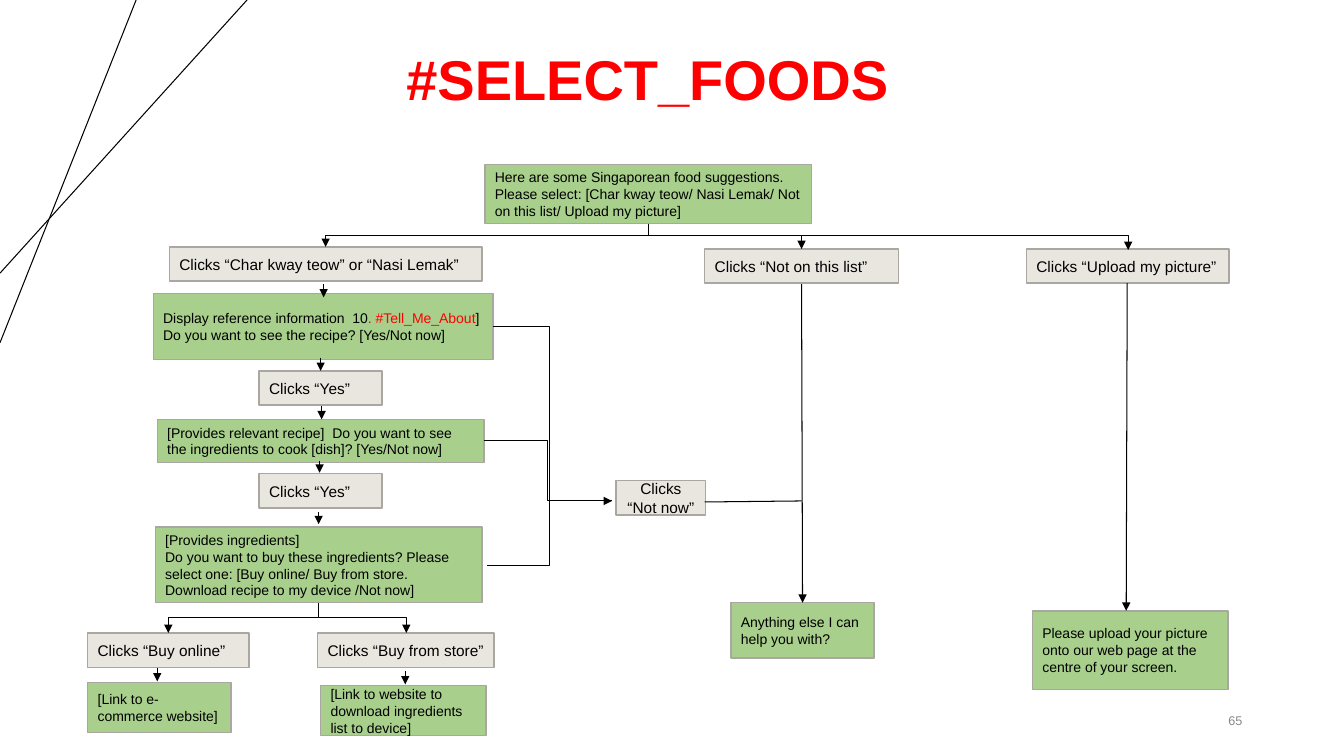
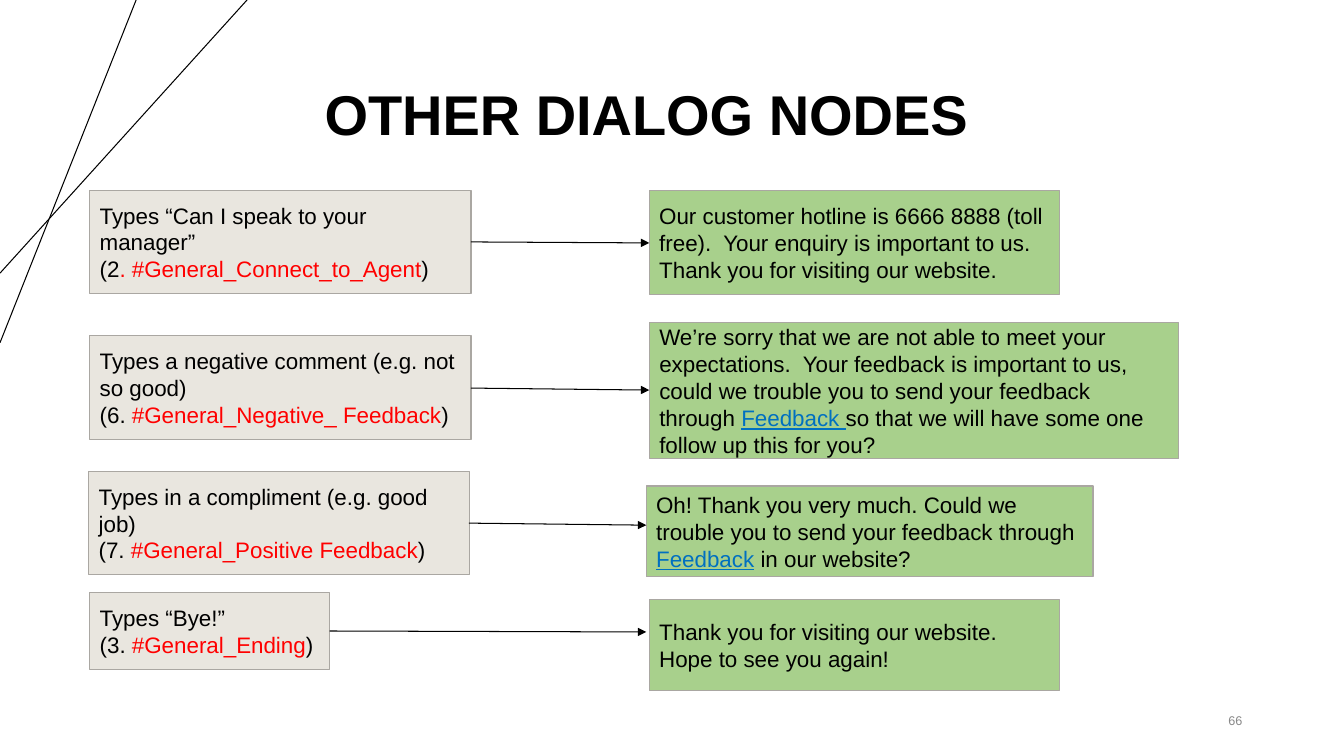
from dataclasses import dataclass

from pptx import Presentation
from pptx.dml.color import RGBColor
from pptx.enum.dml import MSO_LINE
from pptx.enum.shapes import MSO_CONNECTOR, MSO_SHAPE
from pptx.enum.text import MSO_ANCHOR, MSO_AUTO_SIZE, PP_ALIGN
from pptx.oxml.ns import qn
from pptx.util import Emu, Pt
from lxml.etree import SubElement


@dataclass(frozen=True)
class Theme:
    font: str = "Arial"
    ink: str = "000000"
    tag: str = "FF0000"
    link: str = "0070C0"
    page: str = "888888"
    user: str = "E9E6DF"
    bot: str = "A8D08C"
    edge: str = "AAA7A2"
    title: int = 40
    click: int = 11
    reply: int = 10
    talk: int = 16
    foot: int = 9
    rim: float = 1
    wire: float = 0.75


T = Theme()
SCALE = 9144
SIZE = (1333, 750)
PAGE = (942, 695, 300, 40)
DECOR = [(135, 0, 0, 340), (245, 0, 0, 271)]

FOODS = {
    "title": ("#SELECT_FOODS", T.tag, (117, 24, 1050, 115)),
    "page": "65",
    "user": (T.click, [
        ((168, 245, 310, 34), ["Clicks “Char kway teow” or “Nasi Lemak”"]),
        ((699, 247, 192, 34), ["Clicks “Not on this list”"]),
        ((1018, 247, 201, 34), ["Clicks “Upload my picture”"]),
        ((257, 368, 122, 34), ["Clicks “Yes”"]),
        ((257, 470, 122, 34), ["Clicks “Yes”"]),
        ((87, 628, 160, 34), ["Clicks “Buy online”"]),
        ((315, 628, 175, 34), ["Clicks “Buy from store”"]),
    ]),
    "mid": (T.click, [((611, 477, 89, 34), ["Clicks “Not now”"])]),
    "bot": (T.reply, [
        ((481, 163, 324, 59), [
            "Here are some Singaporean food suggestions.",
            "Please select: [Char kway teow/ Nasi Lemak/ Not on this list/ Upload my picture]"]),
        ((152, 291, 337, 66), [
            ["Display reference information  10", (". #Tell_Me_About", T.tag), "]"],
            "Do you want to see the recipe? [Yes/Not now]"]),
        ((156, 416, 324, 43), [
            "[Provides relevant recipe]  Do you want to see the ingredients to cook [dish]? [Yes/Not now]"]),
        ((154, 523, 324, 75), [
            "[Provides ingredients]",
            "Do you want to buy these ingredients? Please select one: [Buy online/ Buy from store.  "
            "Download recipe to my device /Not now]"]),
        ((725, 598, 142, 55), ["Anything else I can help you with?"]),
        ((87, 677, 142, 50), ["[Link to e-commerce website]"]),
        ((318, 680, 164, 50), ["[Link to website to download ingredients list to device]"]),
        ((1024, 606, 194, 78), [
            "Please upload your picture onto our web page at the centre of your screen."]),
    ]),
    "wires": [
        ("line", True, [
            (795, 282, 796, 598), (1118, 281, 1117, 606),
            (321, 282, 321, 295), (318, 355, 318, 368), (319, 403, 319, 416),
            (317, 457, 317, 469), (316, 508, 316, 520), (156, 663, 156, 676),
            (402, 666, 402, 679)]),
        ("line", False, [(699, 498, 795, 497)]),
        ("drop", True, [(643, 222, 323, 245), (316, 598, 167, 628)]),
        ("turn", True, [
            (643, 234, 795, 247), (795, 234, 1119, 248), (316, 613, 403, 628)]),
        ("turn", False, [(489, 324, 545, 497)]),
        ("step", True, [(483, 561, 607, 497)]),
        ("step", False, [(480, 437, 607, 497)]),
    ],
}

NODES = {
    "title": ("OTHER DIALOG NODES", T.ink, (116, 44, 1050, 145)),
    "page": "66",
    "user": (T.talk, [
        ((89, 189, 378, 102), [
            "Types “Can I speak to your manager”",
            ["(2", (". #General_Connect_to_Agent", T.tag), ")"]]),
        ((89, 333, 378, 103), [
            "Types a negative comment (e.g. not so good)",
            ["(6. ", ("#General_Negative_ Feedback", T.tag), ")"]]),
        ((88, 468, 378, 102), [
            "Types in a compliment (e.g. good job)",
            ["(7. ", ("#General_Positive Feedback", T.tag), ")"]]),
        ((89, 588, 238, 76), [
            "Types “Bye!”",
            ["(3. ", ("#General_Ending", T.tag), ")"]]),
    ]),
    "bot": (T.talk, [
        ((644, 189, 407, 103), [
            "Our customer hotline is 6666 8888 (toll free).  Your enquiry is important to us.  "
            "Thank you for visiting our website."]),
        ((644, 320, 525, 135), [[
            "We’re sorry that we are not able to meet your expectations.  Your feedback is "
            "important to us, could we trouble you to send your feedback through ",
            ("Feedback ", T.link),
            "so that we will have some one follow up this for you?"]]),
        ((641, 482, 443, 90), [[
            "Oh! Thank you very much. Could we trouble you to send your feedback through ",
            ("Feedback", T.link),
            " in our website?"]]),
        ((644, 595, 407, 90), [
            "Thank you for visiting our website.  Hope to see you again!"]),
    ]),
    "wires": [
        ("line", True, [
            (467, 240, 644, 241), (467, 385, 644, 387),
            (465, 519, 641, 521), (327, 626, 641, 627)]),
    ],
}


def px(*nums):
    return [Emu(round(n * SCALE)) for n in nums]


def style(run, size, tone, bold=False):
    font = run.font
    font.name, font.size, font.bold = T.font, Pt(size), bold
    font.color.rgb = RGBColor.from_string(tone)
    font.underline = tone == T.link


def write(frame, lines, size, tone=T.ink, align=PP_ALIGN.LEFT, bold=False):
    frame.word_wrap = True
    frame.auto_size = MSO_AUTO_SIZE.NONE
    frame.vertical_anchor = MSO_ANCHOR.MIDDLE
    for i, line in enumerate(lines):
        para = frame.add_paragraph() if i else frame.paragraphs[0]
        para.alignment = align
        for piece in [line] if isinstance(line, str) else line:
            text, hue = (piece, tone) if isinstance(piece, str) else piece
            run = para.add_run()
            run.text = text
            style(run, size, hue, bold)


def box(slide, rect, lines, size, fill, align=PP_ALIGN.LEFT):
    shape = slide.shapes.add_shape(MSO_SHAPE.RECTANGLE, *px(*rect))
    shape.shadow.inherit = False
    shape.fill.solid()
    shape.fill.fore_color.rgb = RGBColor.from_string(fill)
    shape.line.color.rgb = RGBColor.from_string(T.edge)
    shape.line.width = Pt(T.rim)
    write(shape.text_frame, lines, size, align=align)


def wire(slide, kind, ends, head=False):
    if kind == "drop":
        x1, y1, x2, y2 = ends
        mx, my = (x1 + x2) / 2, (y1 + y2) / 2
        dx, dy = (y2 - y1) / 2, (x1 - x2) / 2
        ends = (mx - dx, my - dy, mx + dx, my + dy)
    form = MSO_CONNECTOR.STRAIGHT if kind == "line" else MSO_CONNECTOR.ELBOW
    link = slide.shapes.add_connector(form, *px(*ends))
    link.line.color.rgb = RGBColor.from_string(T.ink)
    link.line.width = Pt(T.wire)
    link.line.dash_style = MSO_LINE.SOLID
    props = link.element.spPr
    if kind == "drop":
        props.find(qn("a:xfrm")).set("rot", "5400000")
    if kind == "turn":
        props.find(qn("a:prstGeom")).set("prst", "bentConnector2")
    if head:
        SubElement(props.find(qn("a:ln")), qn("a:tailEnd"), type="triangle")
    SubElement(props, qn("a:effectLst"))
    return link


def build(deck, look, data):
    slide = deck.slides.add_slide(look)
    text, tone, rect = data["title"]
    title = slide.shapes.title
    title.left, title.top, title.width, title.height = px(*rect)
    write(title.text_frame, [text], T.title, tone, PP_ALIGN.CENTER, True)
    title.text_frame.paragraphs[0].line_spacing = 0.9
    page = slide.shapes.add_textbox(*px(*PAGE))
    write(page.text_frame, [data["page"]], T.foot, T.page, PP_ALIGN.RIGHT)
    kinds = (("user", T.user, PP_ALIGN.LEFT),
             ("mid", T.user, PP_ALIGN.CENTER),
             ("bot", T.bot, PP_ALIGN.LEFT))
    for kind, fill, align in kinds:
        size, items = data.get(kind, (0, []))
        for rect, lines in items:
            box(slide, rect, lines, size, fill, align)
    for kind, head, paths in data["wires"]:
        for ends in paths:
            wire(slide, kind, ends, head)
    return slide


def main():
    deck = Presentation()
    deck.slide_width, deck.slide_height = px(*SIZE)
    look = deck.slide_layouts[5]
    first, _ = [build(deck, look, data) for data in (FOODS, NODES)]
    for ends in DECOR:
        look.shapes.element.append(wire(first, "line", ends).element)
    deck.save("out.pptx")


if __name__ == "__main__":
    main()
